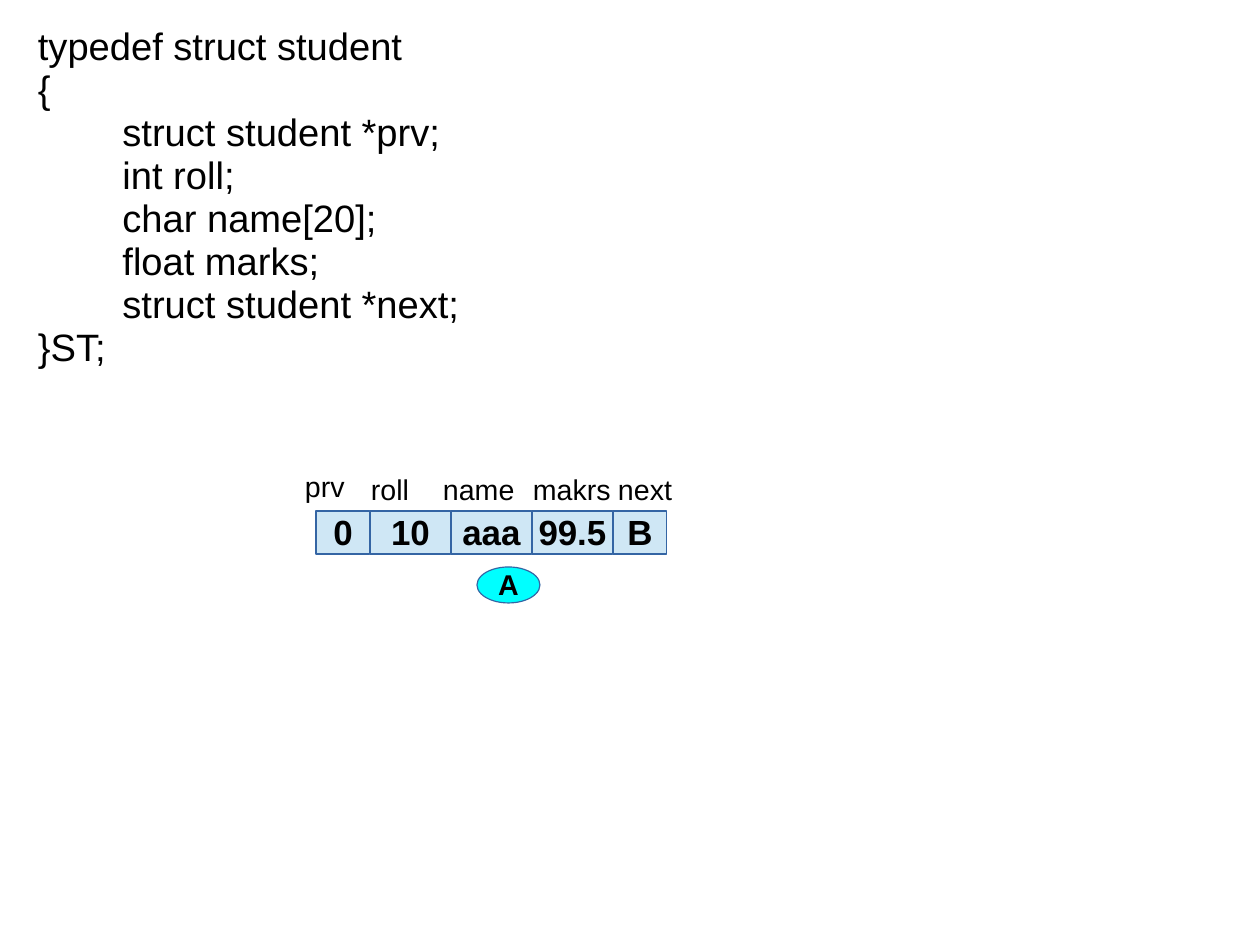
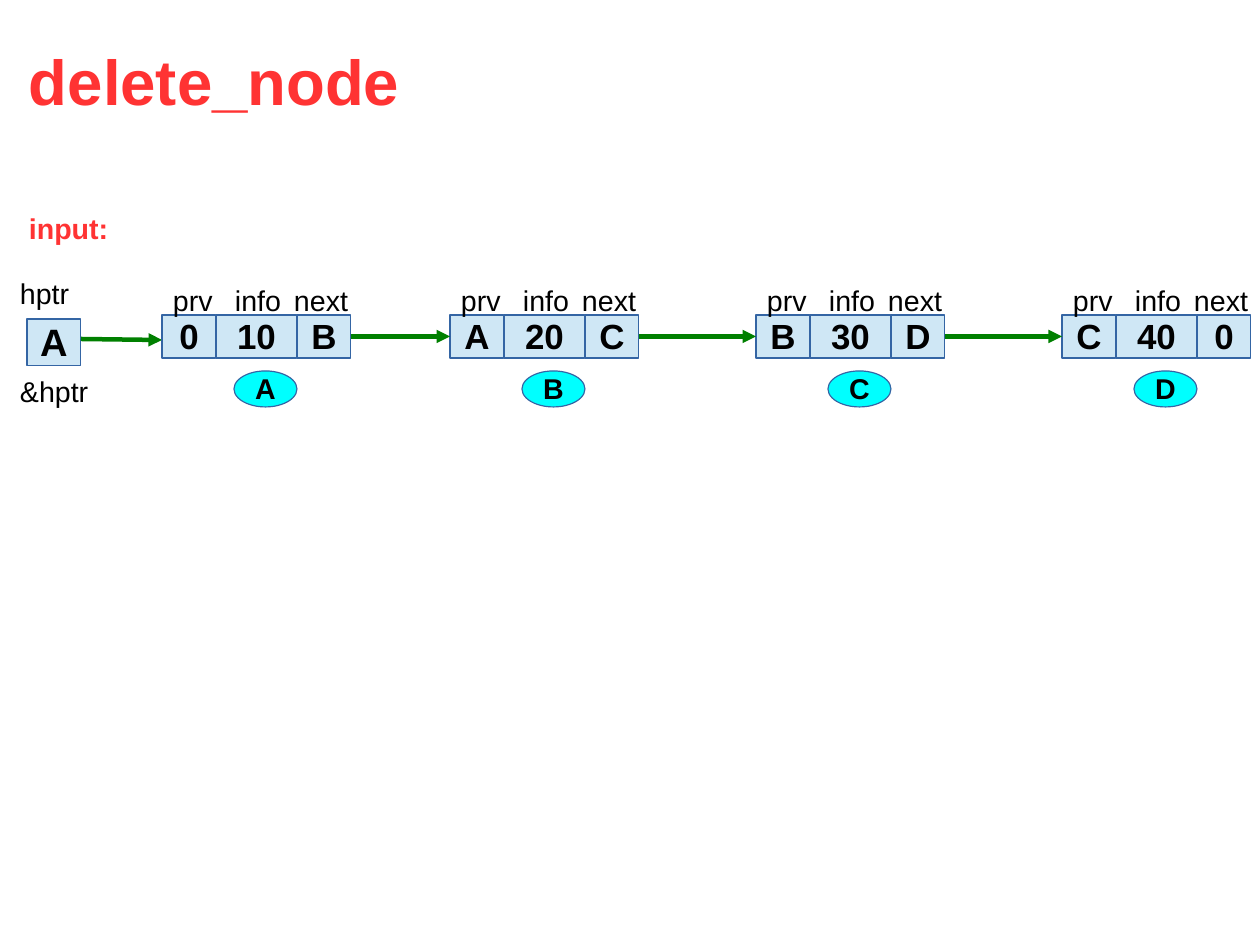
"""Build two slides on doubly linked list nodes."""
from dataclasses import dataclass

from lxml.etree import SubElement
from pptx import Presentation
from pptx.dml.color import RGBColor
from pptx.enum.shapes import MSO_CONNECTOR as CONN, MSO_SHAPE as SHAPE
from pptx.enum.text import MSO_ANCHOR as ANCHOR, MSO_AUTO_SIZE as FIT, PP_ALIGN as ALIGN
from pptx.oxml.ns import qn
from pptx.shapes.autoshape import Shape
from pptx.slide import Slide
from pptx.util import Emu, Pt

PX = 8000
BLACK, RED, GREEN = "000000", "FF3333", "008000"
CELL_FILL, NAME_FILL, BORDER = "CFE7F5", "00FFFF", "3465A4"
CELL_H, LABEL_H = 43, 44
LINK_W, DATA_W = 54, 81

CODE = """typedef struct student
{
        struct student *prv;
        int roll;
        char name[20];
        float marks;
        struct student *next;
}ST;"""


@dataclass(frozen=True)
class Field:
    label: str
    width: int
    label_dx: int
    label_dy: int
    label_w: int


@dataclass(frozen=True)
class Node:
    name: str
    x: int
    values: tuple[str, ...]


STUDENT = (
    Field("prv", LINK_W, -22, -46, 78),
    Field("roll", DATA_W, 44, -43, 78),
    Field("name", DATA_W, 116, -43, 107),
    Field("makrs", DATA_W, 206, -43, 117),
    Field("next", LINK_W, 291, -43, 78),
)
LIST_NODE = (
    Field("prv", LINK_W, 0, -36, 78),
    Field("info", DATA_W, 62, -36, 87),
    Field("next", LINK_W, 121, -36, 78),
)
NODES = (
    Node("A", 162, ("0", "10", "B")),
    Node("B", 450, ("A", "20", "C")),
    Node("C", 756, ("B", "30", "D")),
    Node("D", 1062, ("C", "40", "0")),
)


def px(n: int) -> Emu:
    return Emu(n * PX)


def rgb(value: str) -> RGBColor:
    return RGBColor.from_string(value)


def write(sp: Shape, text: str, size: int, bold: bool = False, color: str = BLACK,
          align: ALIGN = ALIGN.LEFT, anchor: ANCHOR = ANCHOR.TOP,
          wrap: bool = True, top: int = 7) -> None:
    tf = sp.text_frame
    frame = {"auto_size": FIT.NONE, "word_wrap": wrap, "vertical_anchor": anchor,
             "margin_left": px(11), "margin_right": px(11),
             "margin_top": px(top), "margin_bottom": px(6)}
    for key, value in frame.items():
        setattr(tf, key, value)
    tf.text = text
    for p in tf.paragraphs:
        p.alignment = align
        p.line_spacing = 0.94
        for key, value in {"name": "Arial", "size": Pt(size), "bold": bold}.items():
            setattr(p.font, key, value)
        for r in p.runs:
            r.font.color.rgb = rgb(color)


def add_text(s: Slide, text: str, x: int, y: int, w: int, h: int = LABEL_H,
             size: int = 18, **style) -> None:
    sp = s.shapes.add_textbox(*map(px, (x, y, w, h)))
    write(sp, text, size, **style)


def add_box(s: Slide, kind: SHAPE, text: str, x: int, y: int, w: int, h: int,
            size: int, fill: str = CELL_FILL, top: int = 8) -> Shape:
    sp = s.shapes.add_shape(kind, *map(px, (x, y, w, h)))
    sp.shadow.inherit = False
    sp.fill.solid()
    sp.fill.fore_color.rgb = rgb(fill)
    sp.line.color.rgb = rgb(BORDER)
    sp.line.width = Pt(0.75)
    write(sp, text, size, True, align=ALIGN.CENTER, anchor=ANCHOR.MIDDLE, wrap=False, top=top)
    return sp


def add_node(s: Slide, node: Node, fields: tuple[Field, ...], y: int,
             name_dx: int) -> tuple[Shape, Shape]:
    cells, x = [], node.x
    for field, value in zip(fields, node.values):
        cells.append(add_box(s, SHAPE.RECTANGLE, value, x, y, field.width, CELL_H, 22))
        x += field.width
    for field in fields:
        add_text(s, field.label, node.x + field.label_dx, y + field.label_dy, field.label_w)
    add_box(s, SHAPE.OVAL, node.name, node.x + name_dx, y + 56, 63, 36, 18, NAME_FILL, 7)
    return cells[0], cells[-1]


def add_arrow(s: Slide, x1: int = 0, y1: int = 0, x2: int = 0, y2: int = 0,
              begin: Shape | None = None, end: Shape | None = None) -> None:
    c = s.shapes.add_connector(CONN.STRAIGHT, *map(px, (x1, y1, x2, y2)))
    if begin is not None and end is not None:
        c.begin_connect(begin, 3)
        c.end_connect(end, 1)
    c.line.color.rgb = rgb(GREEN)
    c.line.width = Pt(2.83)
    SubElement(c.line._get_or_add_ln(), qn("a:tailEnd"), type="triangle")
    SubElement(c._element.spPr, qn("a:effectLst"))


def add_title(s: Slide, text: str) -> None:
    title = s.shapes.title
    box = {"left": 18, "top": 42, "width": 420, "height": 88}
    for key, value in box.items():
        setattr(title, key, px(value))
    write(title, text, 40, True, RED, top=6)


def struct_slide(prs: Presentation) -> None:
    s = prs.slides.add_slide(prs.slide_layouts[6])
    add_text(s, CODE, 27, 18, 675, 354, 24, top=8)
    add_node(s, Node("A", 316, ("0", "10", "aaa", "99.5", "B")), STUDENT, 511, 161)


def delete_slide(prs: Presentation) -> None:
    s = prs.slides.add_slide(prs.slide_layouts[5])
    add_title(s, "delete_node")
    add_text(s, "input:", 18, 207, 406, bold=True, color=RED)
    add_box(s, SHAPE.RECTANGLE, "A", 27, 319, LINK_W, 47, 24)
    add_text(s, "hptr", 9, 272, 81)
    add_text(s, "&hptr", 9, 370, 94)
    add_arrow(s, 81, 339, 162, 340)
    ends = [add_node(s, node, LIST_NODE, 315, 72) for node in NODES]
    for (_, tail), (head, _) in zip(ends, ends[1:]):
        add_arrow(s, begin=tail, end=head)


def main() -> None:
    prs = Presentation()
    prs.slide_width, prs.slide_height = px(1260), px(945)
    struct_slide(prs)
    delete_slide(prs)
    prs.save("out.pptx")


if __name__ == "__main__":
    main()
